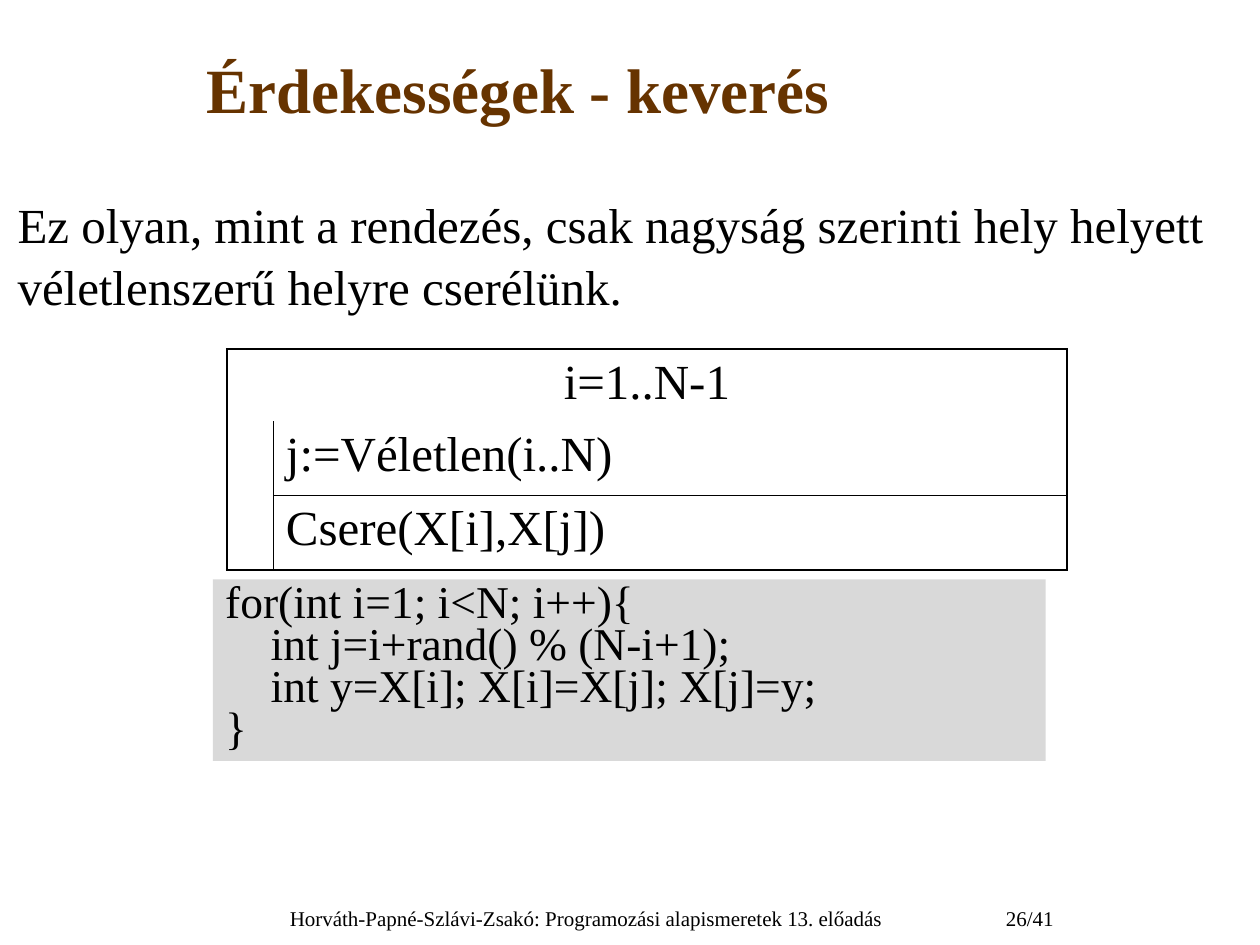
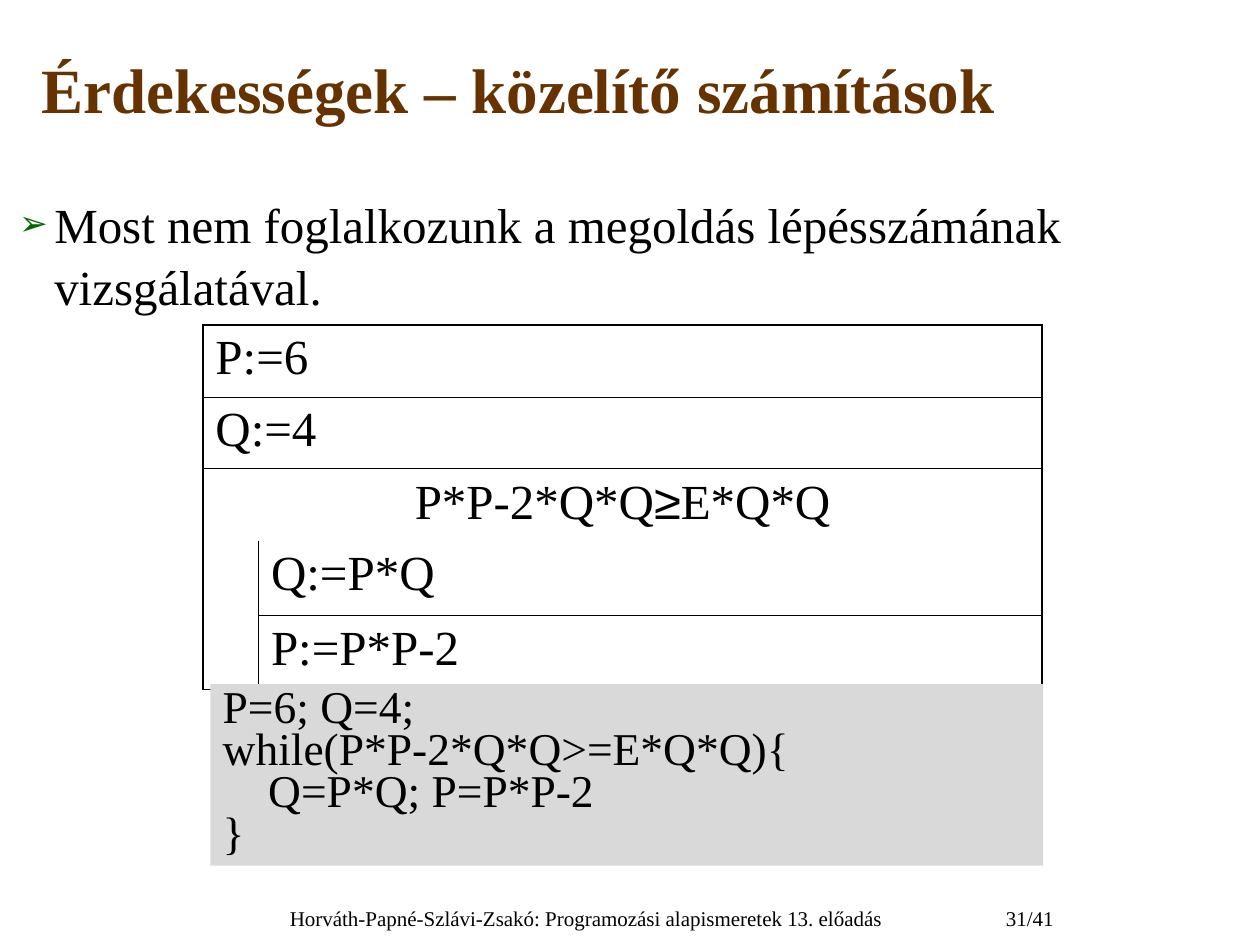
from dataclasses import dataclass
from itertools import groupby

from lxml.etree import SubElement
from pptx import Presentation
from pptx.dml.color import RGBColor
from pptx.enum.shapes import MSO_SHAPE
from pptx.enum.text import MSO_ANCHOR, MSO_AUTO_SIZE, PP_ALIGN
from pptx.oxml import parse_xml
from pptx.oxml.ns import nsdecls, qn
from pptx.util import Cm, Pt


@dataclass(frozen=True)
class Theme:
    font: str = "Times New Roman"
    symbol_font: str = "Arial"
    symbols: str = "≥"
    title_color: str = "663300"
    text_color: str = "000000"
    bullet_color: str = "006600"
    code_fill: str = "D9D9D9"
    title_size: int = 36
    text_size: int = 28
    code_size: int = 26
    footer_size: int = 12
    outer_line: float = 1.08
    inner_line: float = 0.45


theme = Theme()
TITLE_FORMAT = {"alignment": PP_ALIGN.CENTER}
BODY_FORMAT = {"space_before": Pt(0), "line_spacing": 1.05}
CODE_FORMAT = {"alignment": PP_ALIGN.LEFT, "line_spacing": Pt(24)}
FRAME_FORMAT = {"word_wrap": True, "auto_size": MSO_AUTO_SIZE.NONE}
FOOTER = "Horváth-Papné-Szlávi-Zsakó: Programozási alapismeretek 13. előadás"

# Each diagram row is its kind and its text
SLIDES = [
    {
        "title": "Érdekességek - keverés",
        "body": "Ez olyan, mint a rendezés, csak nagyság szerinti hely helyett "
                "véletlenszerű helyre cserélünk.",
        "bullet": False,
        "diagram": [("loop", "i=1..N-1"),
                    ("inner", "j:=Véletlen(i..N)"),
                    ("inner", "Csere(X[i],X[j])")],
        "diagram_at": (4.57, 7.04),
        "columns": (0.94, 16),
        "code": ["for(int i=1; i<N; i++){",
                 "    int j=i+rand() % (N-i+1);",
                 "    int y=X[i]; X[i]=X[j]; X[j]=y;",
                 "}"],
        "code_at": (4.29, 11.68),
        "number": "26/41",
    },
    {
        "title": "Érdekességek – közelítő számítások",
        "body": "Most nem foglalkozunk a megoldás lépésszámának vizsgálatával.",
        "bullet": True,
        "diagram": [("step", "P:=6"),
                    ("step", "Q:=4"),
                    ("loop", "P*P-2*Q*Q≥E*Q*Q"),
                    ("inner", "Q:=P*Q"),
                    ("inner", "P:=P*P-2")],
        "diagram_at": (4.09, 6.55),
        "columns": (1.12, 15.8),
        "code": ["P=6; Q=4;",
                 "while(P*P-2*Q*Q>=E*Q*Q){",
                 "    Q=P*Q; P=P*P-2",
                 "}"],
        "code_at": (4.24, 13.79),
        "number": "31/41",
    },
]


def write(paragraph, text, size, color=theme.text_color, bold=False, formats=None):
    """Fill a paragraph, with mathematical signs in the symbol font."""
    for name, value in (formats or {}).items():
        setattr(paragraph, name, value)
    for is_symbol, letters in groupby(text, key=lambda letter: letter in theme.symbols):
        run = paragraph.add_run()
        run.text = "".join(letters)
        run.font.color.rgb = RGBColor.from_string(color)
        font_format = {"name": theme.symbol_font if is_symbol else theme.font,
                       "size": Pt(size), "bold": bold}
        for name, value in font_format.items():
            setattr(run.font, name, value)


def set_borders(cell, widths):
    """Draw the left, right, top and bottom borders; a width of 0 draws none."""
    properties = cell._tc.get_or_add_tcPr()
    for index, (side, width) in enumerate(zip("LRTB", widths)):
        paint = (f'<a:solidFill><a:srgbClr val="{theme.text_color}"/></a:solidFill>'
                 if width else "<a:noFill/>")
        properties.insert(index, parse_xml(
            f'<a:ln{side} {nsdecls("a")} w="{Pt(width)}">{paint}</a:ln{side}>'))


presentation = Presentation()
presentation.slide_width = Cm(25.4)
presentation.slide_height = Cm(19.05)

for content in SLIDES:
    slide = presentation.slides.add_slide(presentation.slide_layouts[1])

    # Title and body
    title, body = slide.placeholders
    for shape, box in ((title, (0, 0.23, 20.9, 3.1)), (body, (0.1, 3.73, 24.82, 13.21))):
        shape.left, shape.top, shape.width, shape.height = map(Cm, box)
        for name, value in FRAME_FORMAT.items():
            setattr(shape.text_frame, name, value)
    title.text_frame.vertical_anchor = MSO_ANCHOR.MIDDLE
    write(title.text_frame.paragraphs[0], content["title"], theme.title_size,
          theme.title_color, True, TITLE_FORMAT)
    paragraph = body.text_frame.paragraphs[0]
    write(paragraph, content["body"], theme.text_size, formats=BODY_FORMAT)

    # Arrow bullet or plain paragraph
    properties = paragraph._p.get_or_add_pPr()
    if content["bullet"]:
        properties.set("marL", str(Cm(0.74)))
        properties.set("indent", str(Cm(-0.71)))
        bullet_color = SubElement(properties, qn("a:buClr"))
        SubElement(bullet_color, qn("a:srgbClr"), val=theme.bullet_color)
        SubElement(properties, qn("a:buSzPct"), val="70000")
        SubElement(properties, qn("a:buChar"), char="➢")
    else:
        properties.set("marL", "0")
        properties.set("indent", "0")
        SubElement(properties, qn("a:buNone"))

    # Structure diagram
    rows = content["diagram"]
    left, top = content["diagram_at"]
    table = slide.shapes.add_table(len(rows), 2, Cm(left), Cm(top),
                                   Cm(sum(content["columns"])), Cm(1.45 * len(rows))).table
    table.first_row = table.horz_banding = False
    for column, width in zip(table.columns, content["columns"]):
        column.width = Cm(width)
    for index, (kind, text) in enumerate(rows):
        inner = kind == "inner"
        table.rows[index].height = Cm(1.5 if inner else 1.45)
        bar, cell = table.cell(index, 0), table.cell(index, 1)
        after_loop = index > 0 and rows[index - 1][0] == "loop"
        last = index == len(rows) - 1
        upper = theme.outer_line if index == 0 else 0 if after_loop else theme.inner_line
        lower = theme.outer_line if last else 0 if kind == "loop" else theme.inner_line
        for part in (bar, cell):
            part.fill.background()
        if inner:
            set_borders(bar, (theme.outer_line, theme.inner_line, 0,
                              theme.outer_line if last else 0))
            set_borders(cell, (theme.inner_line, theme.outer_line, upper, lower))
        else:
            set_borders(bar, (theme.outer_line, theme.outer_line, upper, lower))
            set_borders(cell, (0, theme.outer_line, upper, lower))
            bar.merge(cell)
        alignment = PP_ALIGN.CENTER if kind == "loop" else PP_ALIGN.LEFT
        target = cell if inner else bar
        write(target.text_frame.paragraphs[0], text, theme.text_size,
              formats={"alignment": alignment})

    # Code panel
    left, top = content["code_at"]
    panel = slide.shapes.add_shape(MSO_SHAPE.RECTANGLE, Cm(left), Cm(top), Cm(16.79), Cm(3.66))
    panel.shadow.inherit = False
    panel.fill.solid()
    panel.fill.fore_color.rgb = RGBColor.from_string(theme.code_fill)
    panel.line.fill.background()
    frame = panel.text_frame
    frame.word_wrap = True
    frame.vertical_anchor = MSO_ANCHOR.TOP
    for index, line in enumerate(content["code"]):
        paragraph = frame.add_paragraph() if index else frame.paragraphs[0]
        write(paragraph, line, theme.code_size, formats=CODE_FORMAT)

    # Footer and slide number
    for text, left, width, alignment in (
            (FOOTER, 5.38, 12.88, PP_ALIGN.CENTER),
            (content["number"], 18.26, 3.23, PP_ALIGN.RIGHT)):
        footer = slide.shapes.add_textbox(Cm(left), Cm(18.14), Cm(width), Cm(0.91))
        footer.text_frame.word_wrap = True
        write(footer.text_frame.paragraphs[0], text, theme.footer_size,
              formats={"alignment": alignment})

presentation.save("out.pptx")
